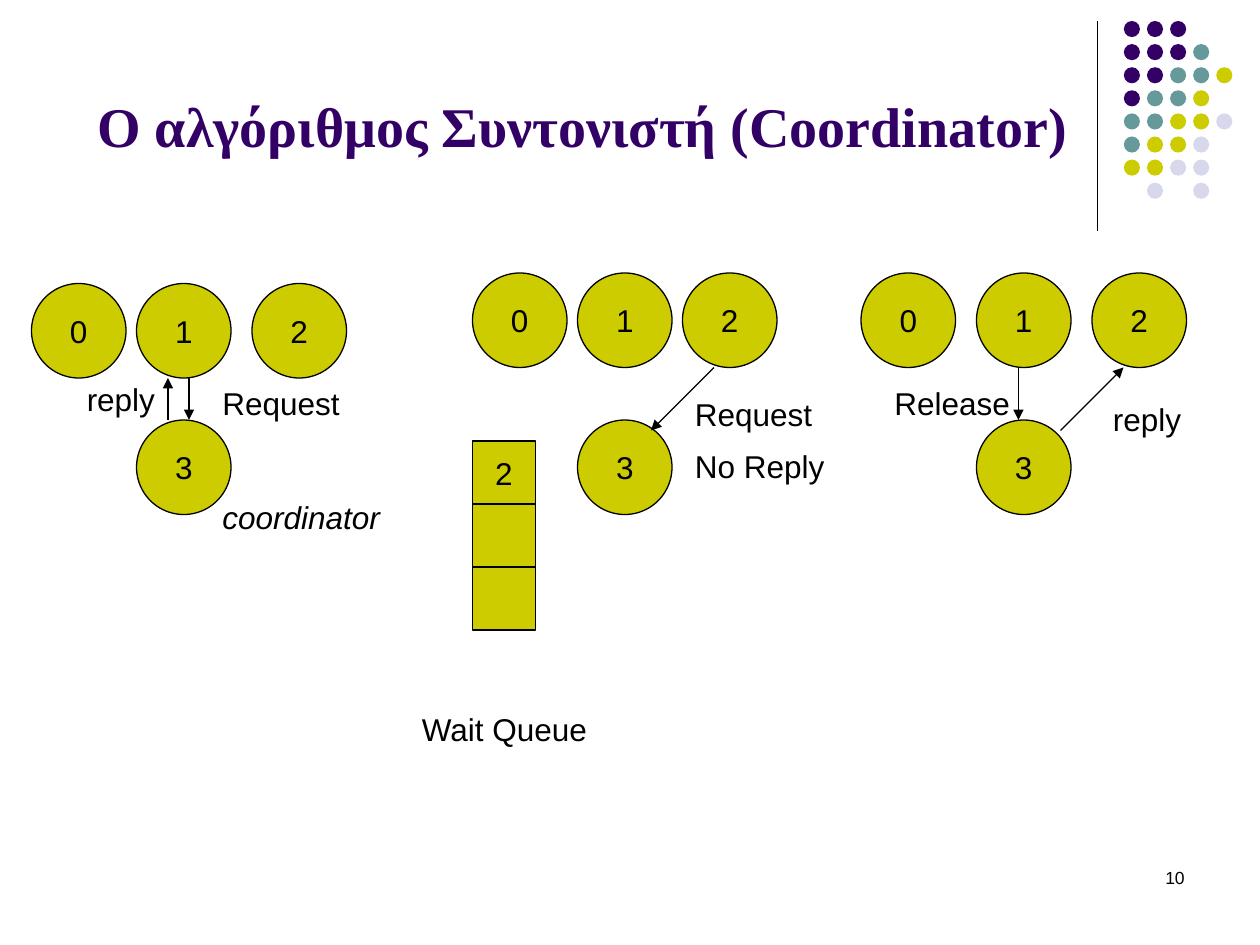
from lxml.etree import SubElement
from pptx import Presentation
from pptx.dml.color import RGBColor
from pptx.enum.shapes import MSO_CONNECTOR as Connector, MSO_SHAPE as Shape
from pptx.enum.text import MSO_ANCHOR as Anchor, MSO_AUTO_SIZE as AutoSize, PP_ALIGN as Align
from pptx.oxml.ns import qn
from pptx.util import Pt

COLORS = {"ink": "000000", "purple": "330066", "teal": "669999",
          "olive": "CCCC00", "lilac": "D8D8EC"}
DOT_COLORS = {"P": "purple", "T": "teal", "O": "olive", "L": "lilac"}
DOT_ROWS = ["PPP", "PPPT", "PPTTO", "PTTO", "TTOOL", "TOOL", "OOLL", " L L"]
PROCESS_SIZE = 54
COORDINATOR_TOP = 240
CELL_SIZE = 36

PANELS = [
    (162, (18, 78, 144)),
    (156, (270, 330, 390)),
    (156, (492, 558, 624)),
]
MESSAGES = [
    (96, 240, 96, 216),
    (108, 216, 108, 240),
    (408, 210, 372, 246),
    (582, 210, 582, 240),
    (606, 246, 642, 210),
]
LABELS = [
    ("reply", 42.5, 213.5, 54),
    ("Request", 390, 222, 82),
    ("Release", 504, 216, 82),
    ("reply", 628.8, 225, 54),
    ("No Reply", 390, 252, 90),
    ("Wait Queue", 234, 402, 110),
]


def rgb(name):
    """Return the named colour."""
    return RGBColor.from_string(COLORS[name])


def write(paragraph, text, size=18, font="Arial", color="ink", bold=False,
          italic=False, align=Align.LEFT, before=0):
    """Put formatted text in a paragraph."""
    paragraph.alignment = align
    paragraph.space_before = Pt(before)
    run = paragraph.add_run()
    run.text = text
    run.font.size = Pt(size)
    run.font.name = font
    run.font.bold = bold
    run.font.italic = italic
    run.font.color.rgb = rgb(color)


def add_solid(slide, kind, left, top, size, color, text="", outlined=True):
    """Add a filled square or circle, with an optional centred label."""
    solid = slide.shapes.add_shape(kind, Pt(left), Pt(top), Pt(size), Pt(size))
    solid.shadow.inherit = False
    solid.fill.solid()
    solid.fill.fore_color.rgb = rgb(color)
    if outlined:
        solid.line.color.rgb = rgb("ink")
        solid.line.width = Pt(0.75)
    else:
        solid.line.fill.background()
    if text:
        frame = solid.text_frame
        frame.word_wrap = False
        frame.vertical_anchor = Anchor.MIDDLE
        write(frame.paragraphs[0], text, align=Align.CENTER)


def add_line(slide, x1, y1, x2, y2, arrow=False):
    """Add a thin line, with an optional arrowhead at its end."""
    line = slide.shapes.add_connector(Connector.STRAIGHT, Pt(x1), Pt(y1), Pt(x2), Pt(y2))
    line.line.color.rgb = rgb("ink")
    line.line.width = Pt(0.75)
    properties = line._element.spPr
    if arrow:
        SubElement(properties.find(qn("a:ln")), qn("a:tailEnd"), type="triangle")
    SubElement(properties, qn("a:effectLst"))


def add_label(slide, text, left, top, width, height=28.8, wrap=False, **style):
    """Add a text box and return its frame."""
    frame = slide.shapes.add_textbox(Pt(left), Pt(top), Pt(width), Pt(height)).text_frame
    frame.word_wrap = wrap
    write(frame.paragraphs[0], text, **style)
    return frame


def add_title(slide, text):
    """Place and format the title."""
    title = slide.shapes.title
    title.left, title.top, title.width, title.height = Pt(36), Pt(9.4), Pt(594), Pt(85)
    frame = title.text_frame
    frame.auto_size = AutoSize.NONE
    frame.word_wrap = True
    frame.vertical_anchor = Anchor.BOTTOM
    write(frame.paragraphs[0], text, size=32, font="Times New Roman",
          color="purple", bold=True, align=Align.CENTER)


def add_dot_grid(slide, left=642.2, top=12, pitch=13.2, size=9.2):
    """Add the corner grid of coloured dots."""
    for row, codes in enumerate(DOT_ROWS):
        for column, code in enumerate(codes):
            if code in DOT_COLORS:
                add_solid(slide, Shape.OVAL, left + column * pitch, top + row * pitch,
                          size, DOT_COLORS[code], outlined=False)


def add_panel(slide, top, lefts):
    """Add three processes and the coordinator below the middle one."""
    for number, left in enumerate(lefts):
        add_solid(slide, Shape.OVAL, left, top, PROCESS_SIZE, "olive", str(number))
    add_solid(slide, Shape.OVAL, lefts[1], COORDINATOR_TOP, PROCESS_SIZE, "olive", "3")


def add_wait_queue(slide, left, top, entries):
    """Add the queue as a column of cells."""
    for position, entry in enumerate(entries):
        add_solid(slide, Shape.RECTANGLE, left, top + position * CELL_SIZE,
                  CELL_SIZE, "olive", entry)


def main():
    """Build and save the slide."""
    deck = Presentation()
    deck.slide_width, deck.slide_height = Pt(720), Pt(540)
    slide = deck.slides.add_slide(deck.slide_layouts[5])
    add_line(slide, 627, 12, 627, 132)
    add_dot_grid(slide)
    add_title(slide, "Ο αλγόριθμος Συντονιστή (Coordinator)")
    for top, lefts in PANELS:
        add_panel(slide, top, lefts)
    for ends in MESSAGES:
        add_line(slide, *ends, arrow=True)
    request = add_label(slide, "Request", 120, 216, 105, 93.6)
    write(request.add_paragraph(), "coordinator", italic=True, before=43.4)
    for label in LABELS:
        add_label(slide, *label)
    add_wait_queue(slide, 270, 252, ["2", "", ""])
    add_label(slide, "10", 516, 492, 168, 36, wrap=True, size=10, align=Align.RIGHT)
    deck.save("out.pptx")


if __name__ == "__main__":
    main()
